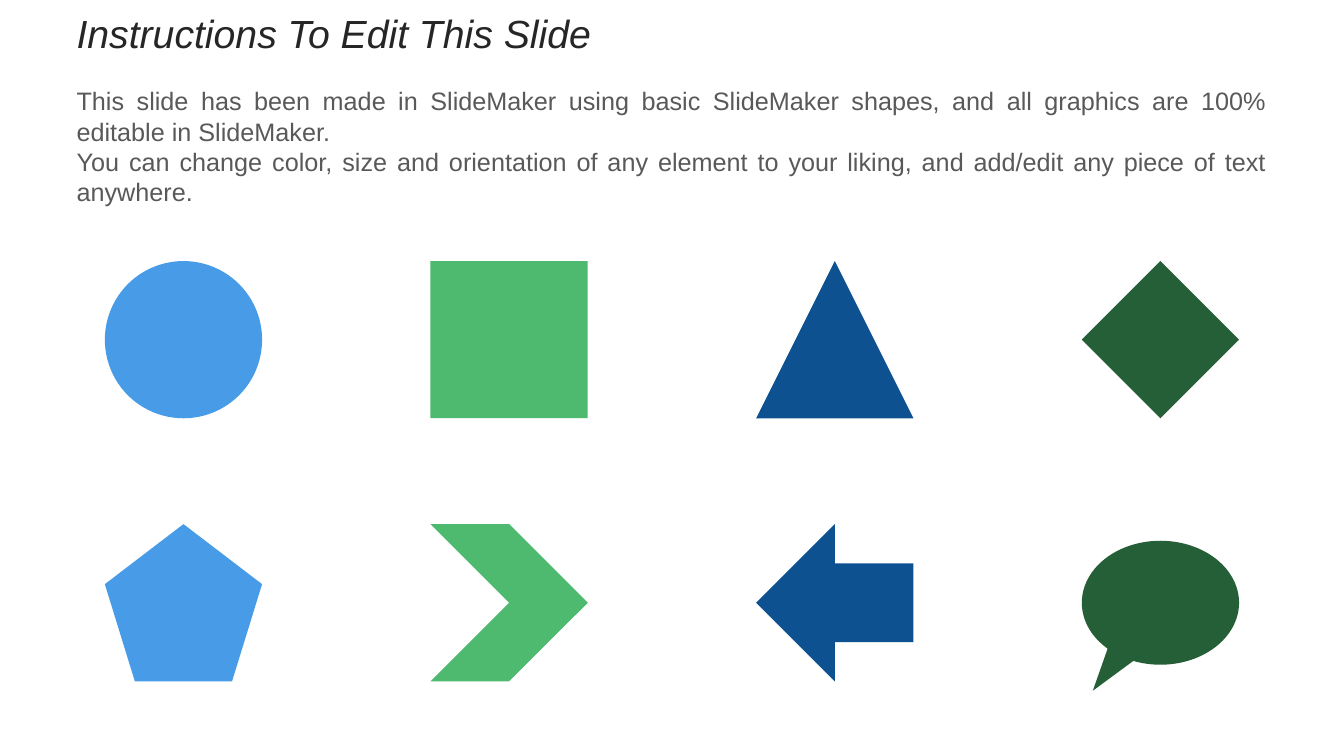
from lxml.etree import SubElement
from pptx import Presentation
from pptx.dml.color import RGBColor
from pptx.enum.shapes import MSO_SHAPE
from pptx.enum.text import MSO_ANCHOR, MSO_AUTO_SIZE, PP_ALIGN
from pptx.oxml.ns import qn
from pptx.util import Inches, Pt

COLORS = {
    "heading": "262626",
    "instruction": "595959",
    "sky": "479BE7",
    "mint": "4EBA6F",
    "navy": "0D5190",
    "forest": "255F37",
}

HEADING = "Instructions To Edit This Slide"
INSTRUCTIONS = [
    "This slide has been made in SlideMaker using basic SlideMaker shapes, "
    "and all graphics are 100% editable in SlideMaker.",
    "You can change color, size and orientation of any element to your liking, "
    "and add/edit any piece of text anywhere.",
]

# Each column: colour, upper shape, lower shape
COLUMNS = [
    ("sky", MSO_SHAPE.OVAL, MSO_SHAPE.REGULAR_PENTAGON),
    ("mint", MSO_SHAPE.RECTANGLE, MSO_SHAPE.CHEVRON),
    ("navy", MSO_SHAPE.ISOSCELES_TRIANGLE, MSO_SHAPE.LEFT_ARROW),
    ("forest", MSO_SHAPE.DIAMOND, MSO_SHAPE.OVAL_CALLOUT),
]
GRID_LEFT, GRID_TOP = 1.04, 2.59
COLUMN_STEP, ROW_STEP = 3.23, 2.61
SIDE, CALLOUT_HEIGHT = 1.56, 1.23
CALLOUT_TIP = (-0.43, 0.71)


def color(name):
    return RGBColor.from_string(COLORS[name])


def place_text(placeholder, top, height, lines, size, color_name, align, italic=False):
    """Move a placeholder across the slide and format its paragraphs."""
    placeholder.left, placeholder.top = Inches(0.66), Inches(top)
    placeholder.width, placeholder.height = Inches(12), Inches(height)
    frame = placeholder.text_frame
    frame.text = "\n".join(lines)
    frame.word_wrap = True
    frame.auto_size = MSO_AUTO_SIZE.NONE
    frame.vertical_anchor = MSO_ANCHOR.TOP
    for paragraph in frame.paragraphs:
        paragraph.alignment = align
        paragraph.space_before = Pt(0)
        for run in paragraph.runs:
            run.font.name = "Arial"
            run.font.size = Pt(size)
            run.font.italic = italic
            run.font.color.rgb = color(color_name)


def remove_bullet(paragraph):
    properties = paragraph._p.get_or_add_pPr()
    properties.set("marL", "0")
    properties.set("indent", "0")
    SubElement(properties, qn("a:buNone"))


def add_sample(slide, kind, column, row, color_name):
    """Draw one sample shape centred in its grid cell."""
    is_callout = kind == MSO_SHAPE.OVAL_CALLOUT
    height = CALLOUT_HEIGHT if is_callout else SIDE
    left = GRID_LEFT + column * COLUMN_STEP
    top = GRID_TOP + row * ROW_STEP + (SIDE - height) / 2
    sample = slide.shapes.add_shape(
        kind, Inches(left), Inches(top), Inches(SIDE), Inches(height))
    sample.shadow.inherit = False
    sample.fill.solid()
    sample.fill.fore_color.rgb = color(color_name)
    sample.line.fill.background()
    if is_callout:
        for index, offset in enumerate(CALLOUT_TIP):
            sample.adjustments[index] = offset


def main():
    deck = Presentation()
    deck.slide_width, deck.slide_height = Inches(13.33), Inches(7.5)
    slide = deck.slides.add_slide(deck.slide_layouts[1])

    # Heading and instructions
    place_text(slide.shapes.title, 0.04, 0.6, [HEADING], 28, "heading",
               PP_ALIGN.LEFT, italic=True)
    instructions = slide.placeholders[1]
    place_text(instructions, 0.8, 1.32, INSTRUCTIONS, 18, "instruction",
               PP_ALIGN.JUSTIFY)
    for paragraph in instructions.text_frame.paragraphs:
        paragraph.line_spacing = Pt(21.6)
        remove_bullet(paragraph)

    # Grid of sample shapes
    for column, (color_name, *kinds) in enumerate(COLUMNS):
        for row, kind in enumerate(kinds):
            add_sample(slide, kind, column, row, color_name)

    deck.save("out.pptx")


if __name__ == "__main__":
    main()
